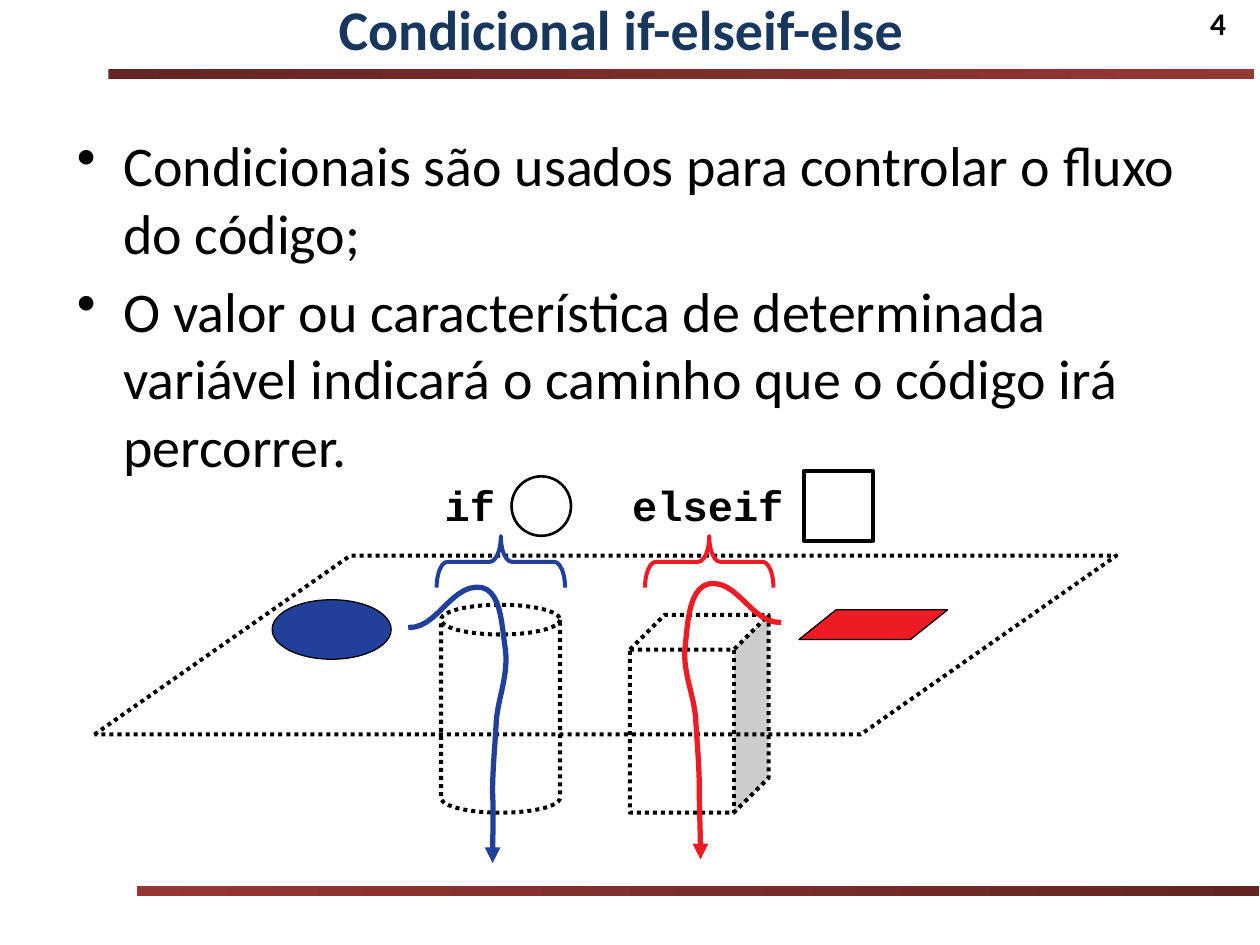
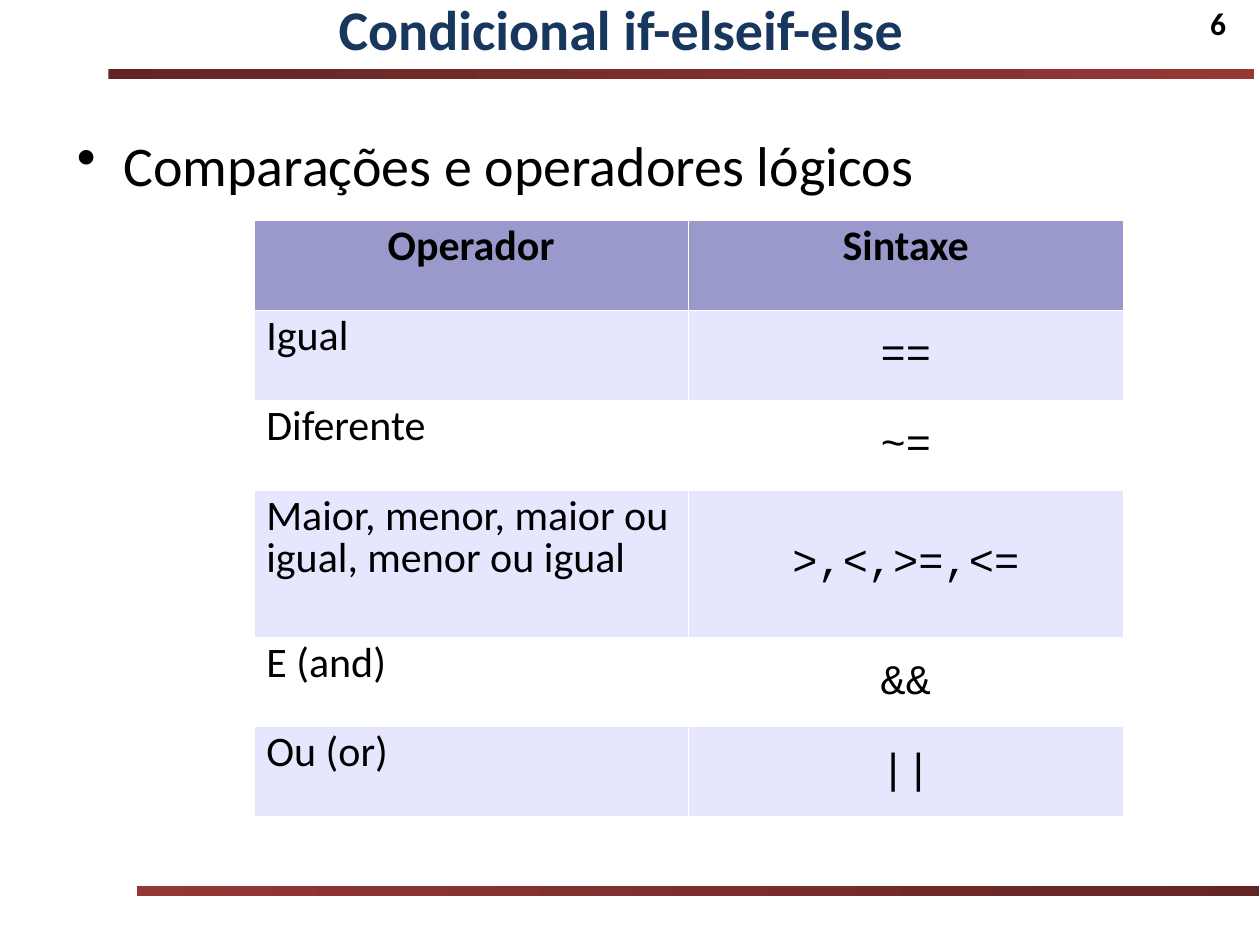
from pptx import Presentation
from pptx.dml.color import RGBColor as Rgb
from pptx.enum.dml import MSO_LINE as Dash
from pptx.enum.shapes import MSO_SHAPE as Kind
from pptx.enum.text import MSO_ANCHOR as Anchor, PP_ALIGN as Align
from pptx.oxml.ns import qn
from pptx.util import Pt
from lxml.etree import SubElement as Sub

HUES = {
    "white": "FFFFFF", "black": "000000", "navy": "17375E",
    "wine": "632523", "brick": "953735", "blue": "21409A", "red": "ED1C24",
    "head": "9999CC", "band": "E6E6FF",
}
SANS, MONO = "Calibri", "Courier New"
TITLE = "Condicional if-elseif-else"

# Each path: start, then three points per curve, in points
BLUE_PATH = [
    (233.3, 358.6),
    (249.1, 359.3), (257, 336.2), (272.2, 335.5),
    (286.6, 334.8), (286.6, 357.1), (288.7, 370.1),
    (290.9, 384.5), (285.1, 397.4), (283.7, 411.1),
    (283, 424.8), (281.5, 439.2), (281.5, 452.9),
    (282.2, 465.1), (281.5, 478.1), (281.5, 491),
]
RED_PATH = [
    (446.4, 355.7),
    (430.6, 356.4), (422.6, 334.1), (408.2, 333.4),
    (393.8, 332.6), (393.1, 355), (391.7, 367.9),
    (389.5, 382.3), (396, 395.3), (397.4, 409),
    (398.2, 422.6), (399.6, 437), (399.6, 450.7),
    (399.6, 463), (400.3, 475.9), (400.3, 488.9),
]
ROWS = [
    ("Operador", "Sintaxe"),
    ("Igual", "=="),
    ("Diferente", "~="),
    ("Maior, menor, maior ou igual, menor ou igual", ">,<,>=,<="),
    ("E (and)", "&&"),
    ("Ou (or)", "||"),
]


def hue(name):
    return Rgb.from_string(HUES[name])


def write(para, text, size, font=SANS, tone="black", bold=False):
    run = para.add_run()
    run.text = text
    run.font.size, run.font.name, run.font.bold = Pt(size), font, bold
    run.font.color.rgb = hue(tone)


def style(item, fill=None, line=None, width=1, dash=None):
    item.shadow.inherit = False
    if fill:
        item.fill.solid()
        item.fill.fore_color.rgb = hue(fill)
    else:
        item.fill.background()
    if line:
        item.line.color.rgb = hue(line)
        item.line.width = Pt(width)
        if dash:
            item.line.dash_style = dash
    else:
        item.line.fill.background()


def shape(slide, kind, box, adjust=(), **look):
    item = slide.shapes.add_shape(kind, *map(Pt, box))
    for i, value in enumerate(adjust):
        item.adjustments[i] = value
    style(item, **look)
    return item


def label(slide, box):
    frame = slide.shapes.add_textbox(*map(Pt, box)).text_frame
    frame.word_wrap = True
    return frame


def rule(slide, box, angle):
    bar = shape(slide, Kind.RECTANGLE, box)
    bar.fill.gradient()
    bar.fill.gradient_angle = angle
    for stop, tone in zip(bar.fill.gradient_stops, ("wine", "brick")):
        stop.color.rgb = hue(tone)


def base(deck, number):
    """Start a slide with its number, bars and title."""
    slide = deck.slides.add_slide(deck.slide_layouts[6])
    tag = shape(slide, Kind.RECTANGLE, (672, 0, 48, 26),
                fill="white", line="white", width=2)
    para = tag.text_frame.paragraphs[0]
    para.alignment = Align.CENTER
    write(para, str(number), 18, bold=True)
    rule(slide, (62, 39.5, 654.5, 5.8), 0)
    rule(slide, (78.5, 506.2, 641, 5.8), 180)
    frame = label(slide, (31, -5.8, 648, 43.2))
    frame.vertical_anchor = Anchor.MIDDLE
    para = frame.paragraphs[0]
    para.alignment = Align.CENTER
    write(para, TITLE, 32, tone="navy", bold=True)
    return slide


def bullets(slide, lines):
    frame = label(slide, (36, 71.3, 648, 396.7))
    for i, text in enumerate(lines):
        para = frame.add_paragraph() if i else frame.paragraphs[0]
        para.space_before = Pt(6.5)
        props = para._p.get_or_add_pPr()
        props.set("marL", str(Pt(27.4)))
        props.set("indent", str(Pt(-26.6)))
        tint = Sub(props, qn("a:buClr"))
        Sub(tint, qn("a:srgbClr"), val=HUES["black"])
        Sub(props, qn("a:buChar"), char="•")
        write(para, text, 32)


def code(slide, box, text):
    frame = label(slide, box)
    frame.margin_top = Pt(5)
    para = frame.paragraphs[0]
    para.line_spacing = 0.94
    write(para, text, 24, MONO, bold=True)


def bend(a, b, c, d, steps=12):
    """Points along a cubic curve, without its start."""
    for i in range(1, steps + 1):
        t = i / steps
        s = 1 - t
        yield tuple(s**3 * p + 3 * s * s * t * q + 3 * s * t * t * r + t**3 * e
                    for p, q, r, e in zip(a, b, c, d))


def flow(slide, path, tone):
    """Curved arrow that ends in a short straight drop."""
    spots = []
    for i in range(0, len(path) - 1, 3):
        spots += bend(*path[i:i + 4])
    end_x, end_y = path[-1]
    spots.append((end_x, end_y + 2.2))
    build = slide.shapes.build_freeform(*map(Pt, path[0]))
    build.add_line_segments([(Pt(x), Pt(y)) for x, y in spots], close=False)
    item = build.convert_to_shape()
    style(item, line=tone, width=3)
    Sub(item.line._get_or_add_ln(), qn("a:tailEnd"), type="triangle")


def brace(slide, mid, tone):
    """Brace that points up, centred at mid."""
    wide, high = 29.5, 73.4
    item = shape(slide, Kind.RIGHT_BRACE,
                 (mid - wide / 2, 321 - high / 2, wide, high),
                 (0.21, 0.5), line=tone, width=2.3)
    item.rotation = 270


def scene(slide):
    dots = dict(line="black", width=2.3, dash=Dash.ROUND_DOT)
    # Solids and plane
    shape(slide, Kind.CAN, (252, 345.6, 68, 118.8), [0.25], fill="white", **dots)
    shape(slide, Kind.CUBE, (360, 351.4, 79.2, 113), [0.25], fill="white", **dots)
    shape(slide, Kind.PARALLELOGRAM, (54, 317.5, 584, 102.2), [1.43], **dots)
    # Pieces that fall through
    shape(slide, Kind.OVAL, (155.5, 342.7, 68, 34),
          fill="blue", line="black", width=0.75)
    shape(slide, Kind.PARALLELOGRAM, (456.5, 348.5, 85, 17), [1.25],
          fill="red", line="black", width=0.75)
    flow(slide, BLUE_PATH, "blue")
    flow(slide, RED_PATH, "red")
    # Tests above each solid
    code(slide, (247, 271.4, 57.6, 34.6), "if")
    code(slide, (354.2, 271.4, 115.2, 34.6), "elseif")
    shape(slide, Kind.OVAL, (292.3, 272.2, 34, 34),
          fill="white", line="black", width=1.5)
    shape(slide, Kind.RECTANGLE, (459.4, 269.3, 39.6, 39.6),
          fill="white", line="black", width=2.3)
    brace(slide, 286.2, "blue")
    brace(slide, 405.3, "red")


def edge(cell):
    """Thin white border on all four sides."""
    props = cell._tc.get_or_add_tcPr()
    for i, side in enumerate(("lnL", "lnR", "lnT", "lnB")):
        line = Sub(props, qn("a:" + side), w=str(Pt(0.06)))
        paint = Sub(line, qn("a:solidFill"))
        Sub(paint, qn("a:srgbClr"), val=HUES["white"])
        props.insert(i, line)


def grid(slide, rows):
    high = [51.3, 51.3, 51.3, 84, 51.3, 51.3]
    box = (145, 126, 496.8, sum(high))
    table = slide.shapes.add_table(len(rows), 2, *map(Pt, box)).table
    for r, (row, size) in enumerate(zip(rows, high)):
        table.rows[r].height = Pt(size)
        head = r == 0
        for c, text in enumerate(row):
            cell = table.cell(r, c)
            cell.fill.solid()
            tone = "head" if head else "band" if r % 2 else "white"
            cell.fill.fore_color.rgb = hue(tone)
            edge(cell)
            mono = c == 1 and not head
            cell.vertical_anchor = Anchor.MIDDLE if mono else Anchor.TOP
            para = cell.text_frame.paragraphs[0]
            para.alignment = Align.CENTER if head or mono else Align.LEFT
            para.line_spacing = 0.94 if mono else 0.83
            write(para, text, 24, MONO if mono else SANS, bold=head)


def main():
    deck = Presentation()
    deck.slide_width, deck.slide_height = Pt(720), Pt(540)

    # Flow of the code
    slide = base(deck, 4)
    bullets(slide, [
        "Condicionais são usados para controlar o fluxo do código;",
        "O valor ou característica de determinada variável indicará "
        "o caminho que o código irá percorrer.",
    ])
    scene(slide)

    # Table of signs
    slide = base(deck, 6)
    bullets(slide, ["Comparações e operadores lógicos"])
    grid(slide, ROWS)

    deck.save("out.pptx")


if __name__ == "__main__":
    main()
